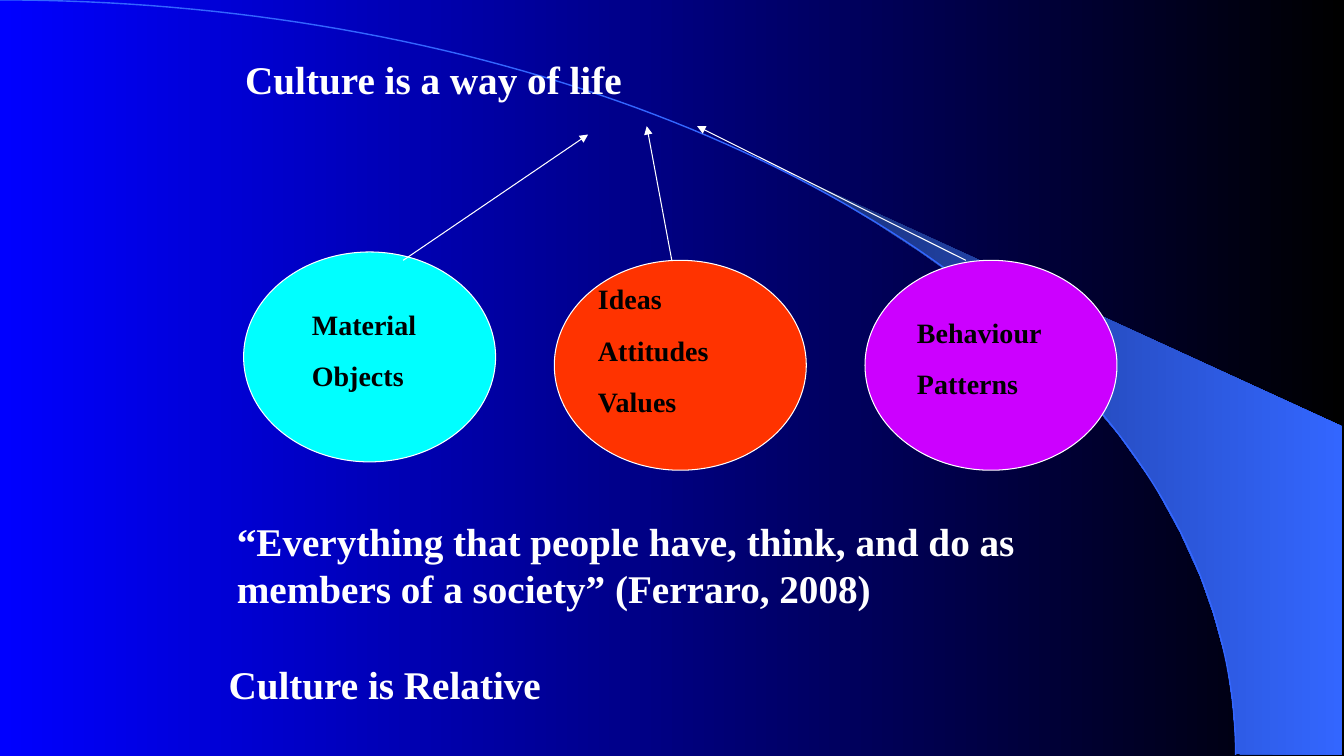
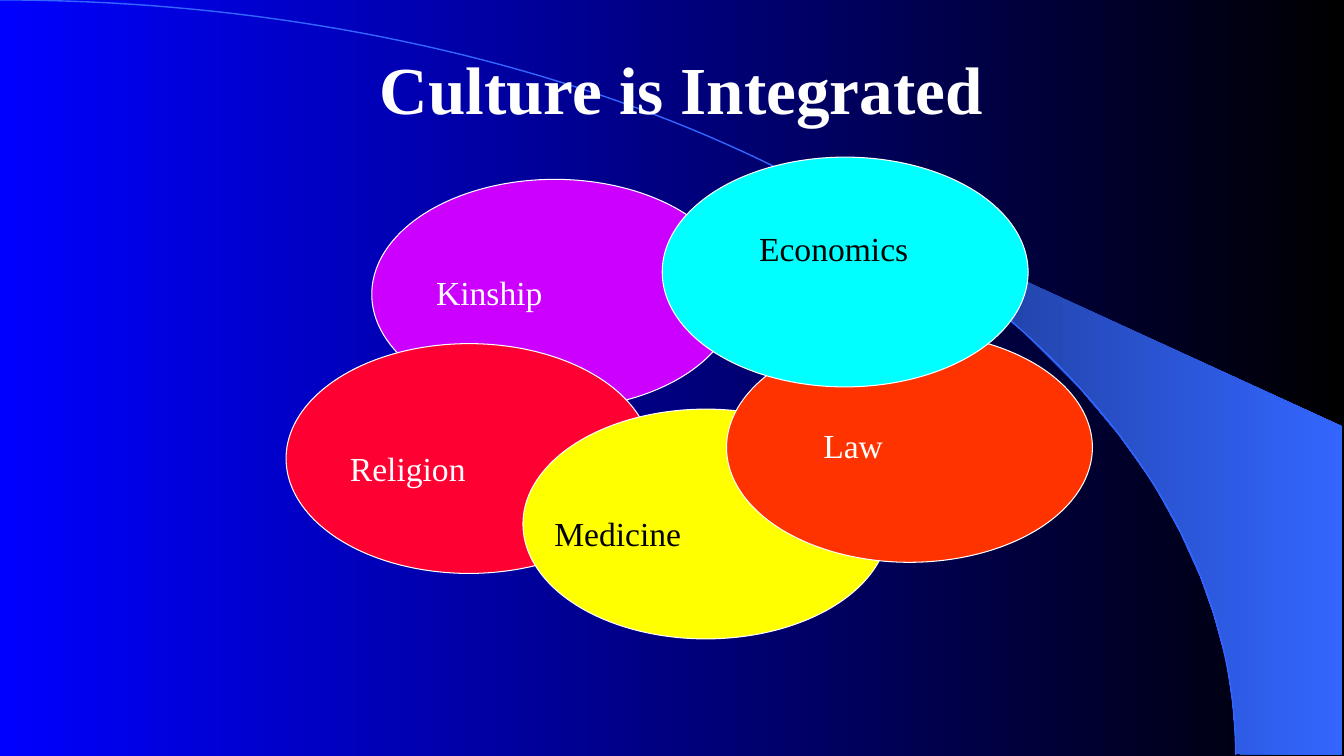
from math import cos, pi, sin

from lxml.etree import SubElement
from pptx import Presentation
from pptx.dml.color import RGBColor
from pptx.enum.shapes import MSO_CONNECTOR, MSO_SHAPE
from pptx.enum.text import MSO_AUTO_SIZE, PP_ALIGN
from pptx.oxml.ns import qn
from pptx.util import Cm, Pt

WHITE = RGBColor(0xFF, 0xFF, 0xFF)
BLACK = RGBColor(0x00, 0x00, 0x00)
BLUE = RGBColor(0x00, 0x00, 0xFF)
BAND_DARK = RGBColor(0x18, 0x2F, 0x76)
BAND_LIGHT = RGBColor(0x33, 0x66, 0xFF)
CYAN = RGBColor(0x00, 0xFF, 0xFF)
ORANGE = RGBColor(0xFF, 0x33, 0x00)
PURPLE = RGBColor(0xCC, 0x00, 0xFF)
RED = RGBColor(0xFF, 0x00, 0x33)
YELLOW = RGBColor(0xFF, 0xFF, 0x00)

FONT = "Times New Roman"
TITLE = {"name": FONT, "size": Pt(48), "bold": True}
STATEMENT = {"name": FONT, "size": Pt(28), "bold": True}
PART_LABEL = {"name": FONT, "size": Pt(20), "bold": True}
SYSTEM_LABEL = {"name": FONT, "size": Pt(24), "bold": False}

SLIDE_WIDTH, SLIDE_HEIGHT = 33.87, 19.05
ARC_WIDTH, ARC_HEIGHT, ARC_STEPS = 31.14, 19.02, 90
BAND_OUTLINE = [
    (31.17, 19.0), (33.81, 19.02), (33.81, 10.74), (19.96, 4.39), (21.13, 5.05),
    (22.1, 5.64), (23.19, 6.35), (24.26, 7.11), (25.81, 8.38), (27.18, 9.75),
    (28.19, 10.95), (29.06, 12.17), (29.74, 13.41), (30.25, 14.53), (30.58, 15.47),
    (30.91, 16.66), (31.06, 17.68),
]

PART_SIZE = (6.35, 5.29)
PARTS = [
    {"at": (0, 0), "color": CYAN, "lines": ["Material", "Objects"],
     "label": (1.47, 1.27, 3.81, 2.39), "start": (4.02, 0.21), "tip": (8.68, -2.96)},
    {"at": (7.83, 0.21), "color": ORANGE, "lines": ["Ideas", "Attitudes", "Values"],
     "label": (0.85, 0.42, 4.23, 3.68), "start": (2.96, 0), "tip": (2.33, -3.38)},
    {"at": (15.66, 0.21), "color": PURPLE, "lines": ["Behaviour", "Patterns"],
     "label": (1.06, 1.27, 4.23, 2.39), "start": (2.54, 0), "tip": (-4.23, -3.38)},
]

SYSTEM_SIZE = (9.22, 5.79)
SYSTEMS = [
    ("Kinship", (2.16, 0.56), PURPLE, WHITE, (1.37, 2.21)),
    ("Religion", (0, 4.7), RED, WHITE, (1.36, 2.49)),
    ("Medicine", (5.97, 6.35), YELLOW, BLACK, (0.54, 2.49)),
    ("Law", (11.1, 4.42), ORANGE, WHITE, (2.19, 2.21)),
    ("Economics", (9.48, 0), CYAN, BLACK, (2.19, 1.65)),
]


def fill_gradient(fill, first, last):
    """Fill from left to right between two colours."""
    fill.gradient()
    fill.gradient_angle = 0
    for stop, color in zip(fill.gradient_stops, (first, last)):
        stop.color.rgb = color


def add_outline(slide, points, close):
    """Draw a freeform through points given in centimetres."""
    points = [(Cm(x), Cm(y)) for x, y in points]
    builder = slide.shapes.build_freeform(*points[0], scale=1.0)
    builder.add_line_segments(points[1:], close=close)
    shape = builder.convert_to_shape()
    shape.shadow.inherit = False
    return shape


def decorate_master(master, slide):
    """Give the master the gradient background, the band and the arc."""
    fill_gradient(master.background.fill, BLUE, BLACK)
    band = add_outline(slide, BAND_OUTLINE, True)
    fill_gradient(band.fill, BAND_DARK, BAND_LIGHT)
    band.line.fill.background()
    angles = [step * pi / 2 / ARC_STEPS for step in range(ARC_STEPS + 1)]
    arc = add_outline(
        slide, [(ARC_WIDTH * sin(a), ARC_HEIGHT * (1 - cos(a))) for a in angles], False)
    arc.fill.background()
    arc.line.color.rgb = BAND_LIGHT
    arc.line.width = Pt(1)
    for shape in (band, arc):
        master.shapes.element.append(shape.element)


def add_text(shapes, box, lines, style, color, wrap=True):
    """Add a left-aligned text box with one paragraph per line."""
    frame = shapes.add_textbox(*map(Cm, box)).text_frame
    frame.word_wrap = wrap
    frame.auto_size = MSO_AUTO_SIZE.SHAPE_TO_FIT_TEXT
    for index, line in enumerate(lines):
        paragraph = frame.add_paragraph() if index else frame.paragraphs[0]
        paragraph.alignment = PP_ALIGN.LEFT
        if index:
            paragraph.space_before = Pt(12.5)
        run = paragraph.add_run()
        run.text = line
        for name, value in style.items():
            setattr(run.font, name, value)
        run.font.color.rgb = color


def add_ellipse(shapes, box, color):
    """Add a filled ellipse with a thin white outline."""
    shape = shapes.add_shape(MSO_SHAPE.OVAL, *map(Cm, box))
    shape.shadow.inherit = False
    shape.fill.solid()
    shape.fill.fore_color.rgb = color
    shape.line.color.rgb = WHITE
    shape.line.width = Pt(0.75)


def add_arrow(shapes, start, tip):
    """Add a thin white arrow that ends in a triangle."""
    arrow = shapes.add_connector(MSO_CONNECTOR.STRAIGHT, *map(Cm, start + tip))
    arrow.line.color.rgb = WHITE
    arrow.line.width = Pt(0.75)
    SubElement(arrow.line._get_or_add_ln(), qn("a:tailEnd"), type="triangle")
    SubElement(arrow.element.spPr, qn("a:effectLst"))


def shift(origin, offset):
    """Move an offset point by its origin."""
    return origin[0] + offset[0], origin[1] + offset[1]


def add_culture_parts(shapes, origin):
    """Draw the three parts of culture and their arrows from an origin."""
    for part in PARTS:
        corner = shift(origin, part["at"])
        add_ellipse(shapes, corner + PART_SIZE, part["color"])
        label = part["label"]
        add_text(shapes, shift(corner, label) + label[2:], part["lines"], PART_LABEL, BLACK)
        add_arrow(shapes, shift(corner, part["start"]), shift(corner, part["tip"]))


def add_social_systems(shapes, origin):
    """Draw the overlapping social systems as one group from an origin."""
    group = shapes.add_group_shape()
    for name, offset, color, text_color, label in SYSTEMS:
        corner = shift(origin, offset)
        add_ellipse(group.shapes, corner + SYSTEM_SIZE, color)
        add_text(group.shapes, shift(corner, label) + (5.2, 1.27), [name],
                 SYSTEM_LABEL, text_color)


def build_way_of_life(slide):
    """Build the slide on culture as a way of life."""
    statements = [
        ("Culture is a way of life", (5.93, 1.27, 20.96, 1.45)),
        ("“Everything that people have, think, and do as members of a society” "
         "(Ferraro, 2008)", (5.72, 12.9, 21.79, 2.64)),
        ("Culture is Relative", (5.51, 16.51, 21.59, 1.45)),
    ]
    for text, box in statements:
        add_text(slide.shapes, box, [text], STATEMENT, WHITE)
    add_culture_parts(slide.shapes, (6.14, 6.35))


def build_integrated(slide):
    """Build the slide on culture as an integrated whole."""
    add_text(slide.shapes, (9.32, 1.07, 15.75, 2.29), ["Culture is Integrated"],
             TITLE, WHITE, wrap=False)
    add_social_systems(slide.shapes, (7.21, 3.96))


def main():
    """Create and save the presentation."""
    presentation = Presentation()
    presentation.slide_width = Cm(SLIDE_WIDTH)
    presentation.slide_height = Cm(SLIDE_HEIGHT)
    blank = presentation.slide_layouts[6]
    slides = [presentation.slides.add_slide(blank) for _ in range(2)]
    decorate_master(presentation.slide_master, slides[0])
    for build, slide in zip((build_way_of_life, build_integrated), slides):
        build(slide)
    presentation.save("out.pptx")


if __name__ == "__main__":
    main()
